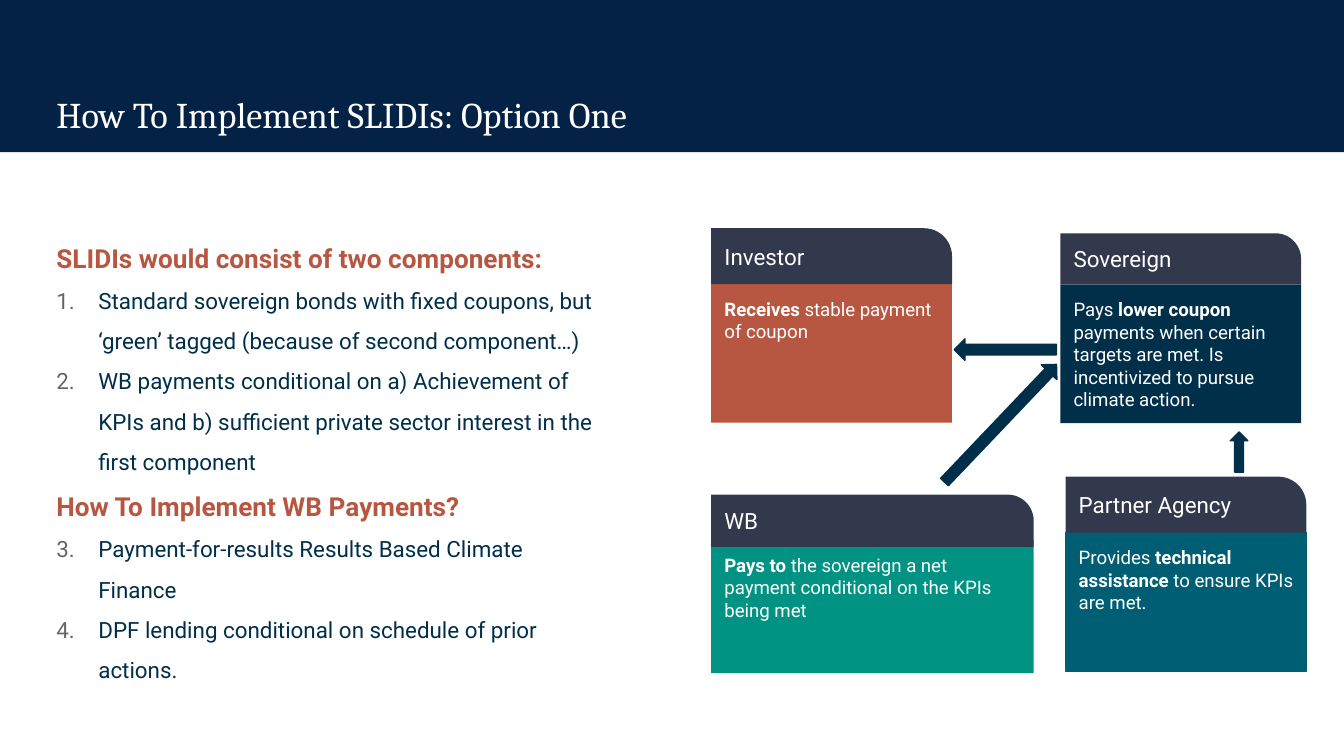
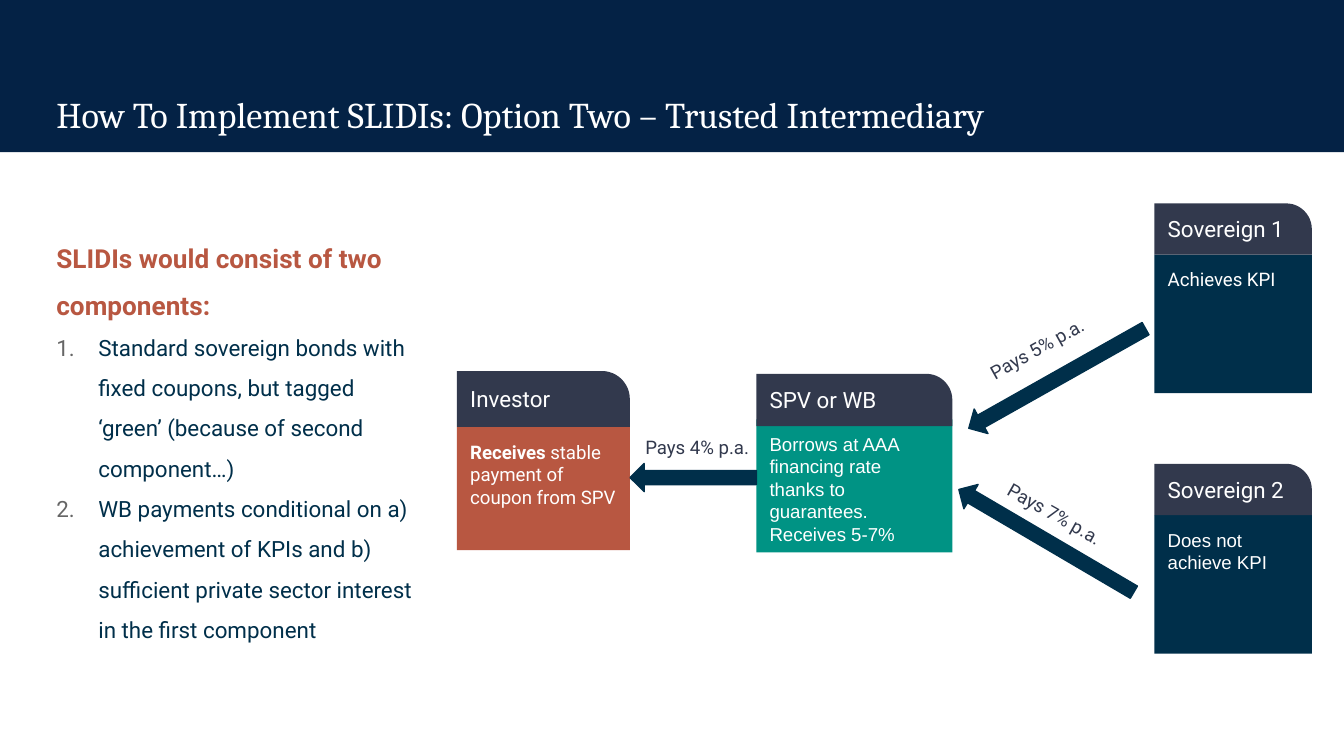
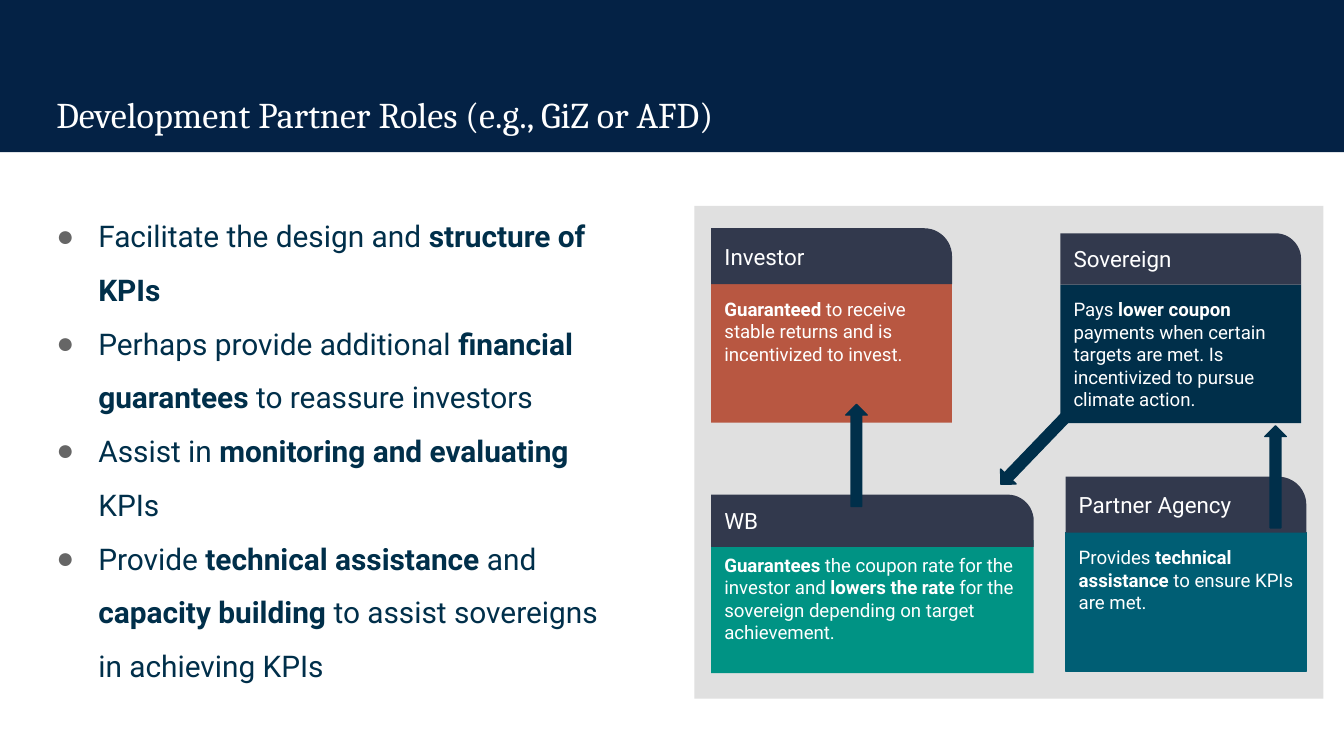
from lxml import etree
from pptx import Presentation
from pptx.dml import color
from pptx.enum import shapes, text
from pptx.oxml import ns
from pptx.util import Pt

WHITE = color.RGBColor(0xFF, 0xFF, 0xFF)
NAVY = color.RGBColor(0x04, 0x22, 0x45)
INK = color.RGBColor(0x00, 0x2F, 0x4A)
RUST = color.RGBColor(0xB8, 0x57, 0x41)
GREEN = color.RGBColor(0x00, 0x93, 0x84)
TEAL = color.RGBColor(0x00, 0x5E, 0x74)
SLATE = color.RGBColor(0x32, 0x39, 0x4D)
PALE = color.RGBColor(0xE0, 0xE0, 0xE0)
BULLET = "666666"

RECT = shapes.MSO_SHAPE.RECTANGLE
CARD_TOP = shapes.MSO_SHAPE.ROUND_1_RECTANGLE
ARROW = shapes.MSO_SHAPE.RIGHT_ARROW
LEFT = text.PP_ALIGN.LEFT
CENTER = text.PP_ALIGN.CENTER
TOP = text.MSO_ANCHOR.TOP
MIDDLE = text.MSO_ANCHOR.MIDDLE

INDENT = 22.5
INSET = 7.2


class Deck:
    def __init__(self):
        self.show = Presentation()
        self.show.slide_width = Pt(720)
        self.show.slide_height = Pt(405)
        self.layout = self.show.slide_layouts[1]
        self.slide = None

    def start_slide(self, headline):
        first = self.slide is None
        self.slide = self.show.slides.add_slide(self.layout)
        if first:
            band = self.block(self.slide.shapes, RECT, (0, 0, 720, 81.5), NAVY)
            self.layout.shapes.element.insert(2, band.element)
        title = self.slide.shapes.title
        self.place(title, 23, 44, 674, 38)
        self.frame(title)
        self.compose(title.text_frame.paragraphs[0], headline, 19.4, WHITE, "Cambria", spacing=0.95)

    def place(self, part, left, top, width, height):
        part.left, part.top = Pt(left), Pt(top)
        part.width, part.height = Pt(width), Pt(height)

    def frame(self, part, anchor=TOP):
        frame = part.text_frame
        frame.word_wrap = True
        frame.auto_size = text.MSO_AUTO_SIZE.NONE
        frame.vertical_anchor = anchor
        frame.margin_left = frame.margin_right = Pt(INSET)
        frame.margin_top = frame.margin_bottom = Pt(INSET)
        return frame

    def compose(self, paragraph, words, size, ink, font="Roboto", align=LEFT, spacing=1.0):
        paragraph.alignment = align
        paragraph.line_spacing = spacing
        paragraph.space_before = Pt(0)
        for index, piece in enumerate(words.split("**")):
            if piece:
                run = paragraph.add_run()
                run.text = piece
                run.font.name = font
                run.font.size = Pt(size)
                run.font.color.rgb = ink
                run.font.bold = index % 2 == 1

    def mark(self, paragraph, tag=None, **settings):
        props = paragraph._p.get_or_add_pPr()
        indent = Pt(INDENT) if tag else 0
        props.set("marL", str(indent))
        props.set("indent", str(-indent))
        if tag:
            tint = etree.SubElement(props, ns.qn("a:buClr"))
            etree.SubElement(tint, ns.qn("a:srgbClr"), val=BULLET)
        etree.SubElement(props, ns.qn(tag or "a:buNone"), **settings)

    def body(self, area):
        outline = self.slide.placeholders[1]
        self.place(outline, *area)
        return self.frame(outline)

    def next_paragraph(self, frame):
        last = frame.paragraphs[-1]
        return frame.add_paragraph() if last.runs else last

    def numbered_sections(self, area, sections):
        frame = self.body(area)
        start = 1
        for heading, items in sections:
            paragraph = self.next_paragraph(frame)
            self.mark(paragraph)
            self.compose(paragraph, f"**{heading}**", 14, RUST, spacing=1.5)
            for item in items:
                paragraph = self.next_paragraph(frame)
                self.mark(paragraph, "a:buAutoNum", type="arabicPeriod", startAt=str(start))
                self.compose(paragraph, item, 12, INK, spacing=1.5)
            start += len(items)

    def bullets(self, area, items):
        frame = self.body(area)
        for item in items:
            paragraph = self.next_paragraph(frame)
            self.mark(paragraph, "a:buChar", char="●")
            self.compose(paragraph, item, 16, INK, spacing=1.5)

    def block(self, parent, kind, area, fill, edge=None, turn=0):
        block = parent.add_shape(kind, *map(Pt, area))
        block.shadow.inherit = False
        block.fill.solid()
        block.fill.fore_color.rgb = fill
        if edge is None:
            block.line.fill.background()
        else:
            block.line.color.rgb = edge
            block.line.width = Pt(0.75)
        block.rotation = turn
        return block

    def panel(self, area):
        self.block(self.slide.shapes, RECT, area, PALE)

    def card(self, name, words, fill, left, top, width=129, head=30, depth=74.2,
             overlap=0, edge=None, font="Roboto"):
        group = self.slide.shapes.add_group_shape().shapes
        detail_area = (left, top + head - overlap, width, depth)
        detail = self.block(group, RECT, detail_area, fill, edge)
        self.compose(self.frame(detail).paragraphs[0], words, 10, WHITE, font)
        header = self.block(group, CARD_TOP, (left, top, width, head), SLATE)
        header.adjustments[0] = 0.5
        self.compose(self.frame(header, MIDDLE).paragraphs[0], name, 12, WHITE)

    def arrow(self, left, top, width, height, turn):
        self.block(self.slide.shapes, ARROW, (left, top, width, height), INK, INK, turn)

    def label(self, words, left, top, width, turn=0):
        label = self.slide.shapes.add_textbox(Pt(left), Pt(top), Pt(width), Pt(26.6))
        label.rotation = turn
        self.compose(self.frame(label).paragraphs[0], words, 10, SLATE, align=CENTER)

    def four_parties(self, wb_role, investor_role):
        self.card("WB", wb_role, GREEN, 381, 265, width=172.8, head=28, depth=71.3, overlap=3.6)
        self.card("Sovereign", "Pays **lower coupon **payments when certain targets are met. "
                  "Is incentivized to pursue climate action.", INK, 568, 125, head=27.5)
        self.card("Investor", investor_role, RUST, 381, 122.3)
        self.card("Partner Agency", "Provides** technical assistance **to ensure KPIs are met.",
                  TEAL, 570.8, 255.4, edge=TEAL)


def option_one(deck):
    deck.start_slide("How To Implement SLIDIs: Option One")
    deck.numbered_sections((23, 114, 307, 266), [
        ("SLIDIs would consist of two components:", [
            "Standard sovereign bonds with fixed coupons, but ‘green’ tagged "
            "(because of second component…)",
            "WB payments conditional on a) Achievement of KPIs and b) sufficient "
            "private sector interest in the first component"]),
        ("How To Implement WB Payments?", [
            "Payment-for-results Results Based Climate Finance",
            "DPF lending conditional on schedule of prior actions."]),
    ])
    deck.four_parties("**Pays to **the sovereign a net payment conditional on the KPIs being met",
                      "**Receives** stable payment of coupon")
    deck.arrow(492.5, 221, 87, 11.5, 313.6)
    deck.arrow(511.2, 181.5, 54.7, 11.5, 180)
    deck.arrow(653, 237.5, 21.6, 9.4, 270)


def option_two(deck):
    deck.start_slide("How To Implement SLIDIs: Option Two – Trusted Intermediary")
    deck.numbered_sections((23, 114, 209, 266), [
        ("SLIDIs would consist of two components:", [
            "Standard sovereign bonds with fixed coupons, but tagged ‘green’ "
            "(because of second component…)",
            "WB payments conditional on a) achievement of KPIs and b) sufficient "
            "private sector interest in the first component"]),
    ])
    deck.card("SPV or WB", "Borrows at AAA financing rate thanks to guarantees. Receives 5-7%",
              GREEN, 405.2, 200.3, width=105, head=28, depth=71.3, overlap=3.6, font="Arial")
    deck.card("Sovereign 1", "Achieves KPI", INK, 618.5, 109, width=84.3, head=27.5)
    deck.card("Investor", "**Receives** stable payment of coupon from SPV",
              RUST, 244.8, 198.8, width=92.6, depth=66)
    deck.card("Sovereign 2", "Does not achieve KPI", INK, 618.5, 248.5,
              width=84.3, head=27.5, font="Arial")
    deck.arrow(512, 195.2, 108.7, 15.1, 150.6)
    deck.arrow(506.2, 282.2, 108.7, 15.1, 210.4)
    deck.label("Pays 5% p.a.", 509.5, 173.5, 92, 330.7)
    deck.label("Pays 7% p.a.", 519, 262, 92, 29.4)
    deck.arrow(337.5, 248.3, 67.7, 15.1, 180)
    deck.label("Pays 4% p.a.", 335, 226.5, 77)


def partner_roles(deck):
    deck.start_slide("Development Partner Roles (e.g., GiZ or AFD)")
    deck.bullets((23, 100, 309, 291), [
        "Facilitate the design and **structure of KPIs**",
        "Perhaps provide additional **financial guarantees** to reassure investors",
        "Assist in **monitoring and evaluating **KPIs",
        "Provide **technical assistance **and **capacity building **"
        "to assist sovereigns in achieving KPIs",
    ])
    deck.panel((372, 110.3, 337, 264))
    deck.four_parties("**Guarantees** the coupon rate for the investor and **lowers the rate **"
                      "for the sovereign depending on target achievement.",
                      "**Guaranteed** to receive stable returns and is incentivized to invest.")
    deck.arrow(431.5, 238.2, 54.7, 11.5, 270)
    deck.arrow(527.8, 234, 54.7, 11.5, 133.9)
    deck.arrow(656, 249.7, 54.7, 11.5, 270)


def main():
    deck = Deck()
    option_one(deck)
    option_two(deck)
    partner_roles(deck)
    deck.show.save("out.pptx")


if __name__ == "__main__":
    main()
